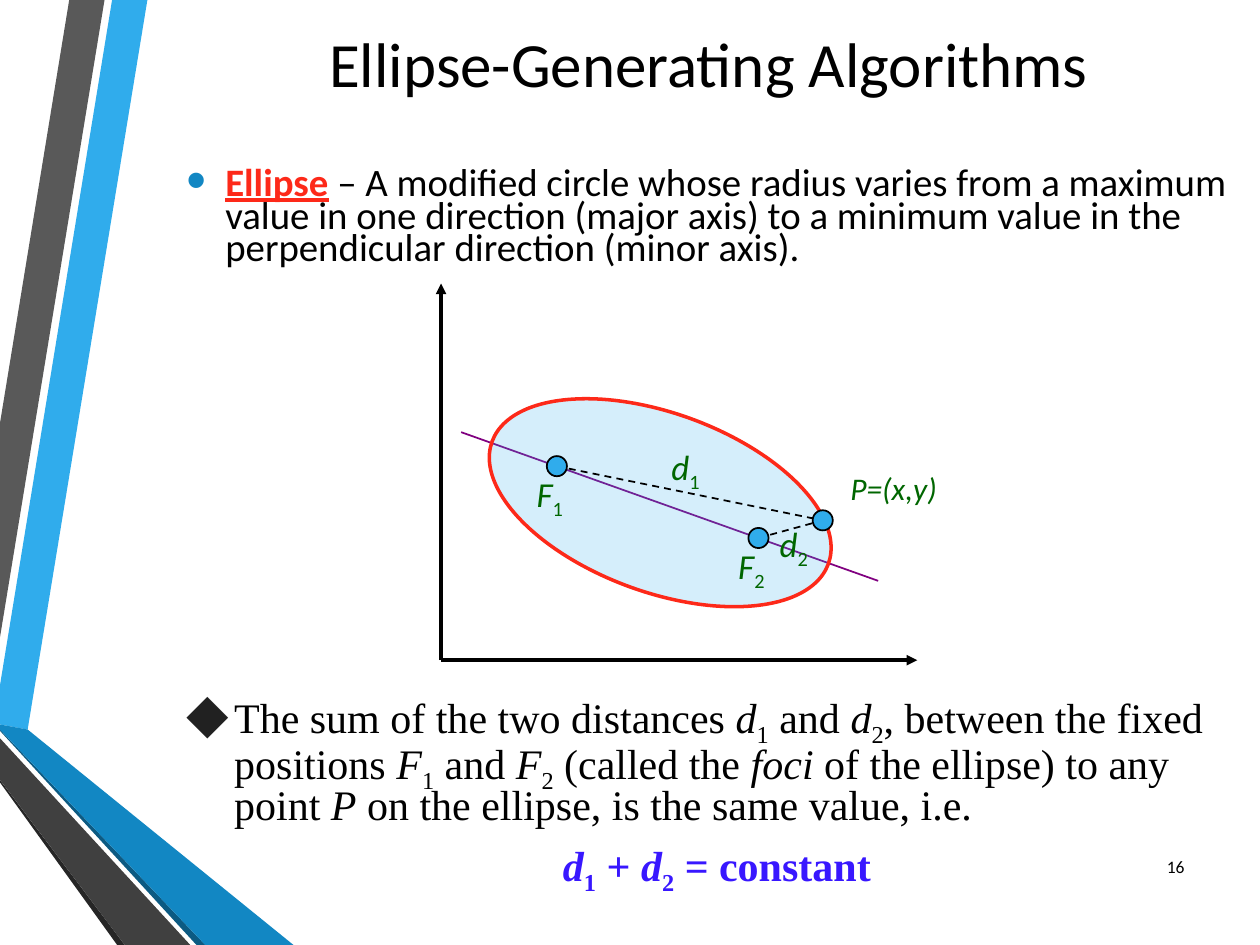
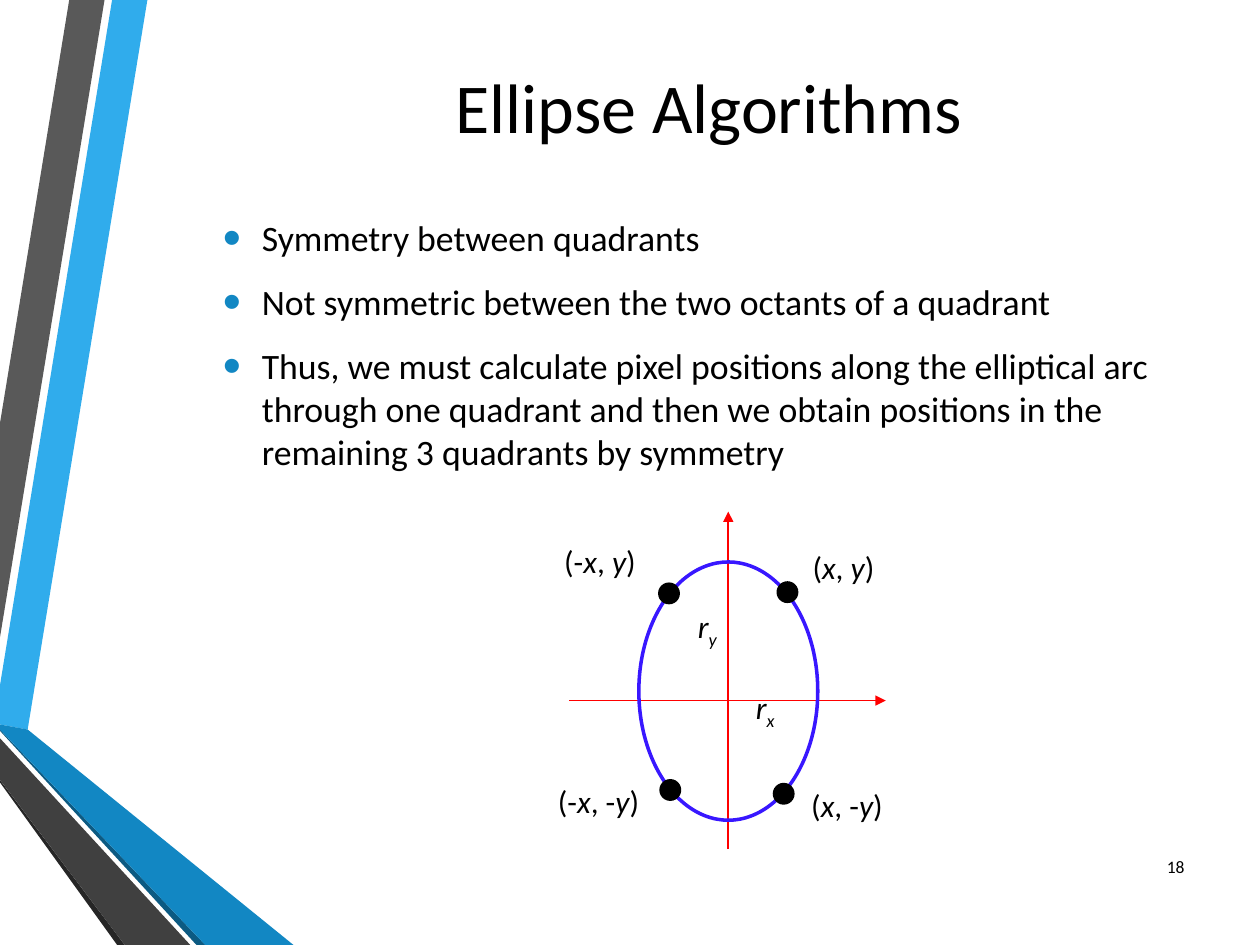
from dataclasses import dataclass

from lxml.etree import SubElement
from pptx import Presentation
from pptx.dml.color import RGBColor
from pptx.enum.dml import MSO_LINE
from pptx.enum.shapes import MSO_CONNECTOR as Connector, MSO_SHAPE as Preset
from pptx.enum.text import MSO_ANCHOR as Anchor, MSO_AUTO_SIZE as AutoSize, PP_ALIGN as Align
from pptx.oxml.ns import qn
from pptx.util import Inches, Pt

COLS, ROWS = 100, 75
UNIT = Inches(0.1)
DOT = 1.6
SANS, SERIF = "Calibri", "Times New Roman"
COLORS = {
    "black": "000000", "sky": "30ACEC", "blue": "1287C3", "navy": "0C5A82",
    "gray": "595959", "charcoal": "404040", "soot": "262626", "diamond": "212121",
    "red": "FD2919", "axis_red": "FF0000", "green": "006600", "purple": "800080",
    "indigo": "3817FF",
}
RIBBONS = [
    ("sky", [(0, 54.4), (0, 57.5), (2.2, 57.9), (11.7, 0), (8.9, 0)]),
    ("gray", [(8.3, 0), (5.5, 0), (0, 33.6), (0, 50.6)]),
    ("soot", [(0, 61.9), (0, 62.1), (9.3, ROWS), (9.9, ROWS)]),
    ("navy", [(0, 57.9), (0, 58), (15.6, ROWS), (16.3, ROWS)]),
    ("blue", [(0, 57.9), (16.3, ROWS), (23.3, ROWS), (2.2, 57.9), (0, 57.5)]),
    ("charcoal", [(0, 61.9), (9.9, ROWS), (15.1, ROWS), (0, 58.6)]),
]


@dataclass
class Box:
    """A rectangle measured in grid columns and rows."""
    left: float
    top: float
    width: float
    height: float

    def inner(self, left, top, width, height):
        """Return a box whose place is counted from this box's corner."""
        return Box(self.left + left, self.top + top, width, height)

    def point(self, x, y):
        """Return a point counted from this box's corner."""
        return self.left + x, self.top + y

    def emu(self):
        """Return left, top, width and height in slide units."""
        return [grid(v) for v in (self.left, self.top, self.width, self.height)]


def grid(value):
    """Turn grid steps into slide units."""
    return round(value * UNIT)


def rgb(name):
    """Look up a named colour."""
    return RGBColor.from_string(COLORS[name])


def style_shape(shape, fill, line=None, weight=1):
    """Set a shape's fill and outline and drop its shadow."""
    shape.shadow.inherit = False
    if fill:
        shape.fill.solid()
        shape.fill.fore_color.rgb = rgb(fill)
    else:
        shape.fill.background()
    if line:
        shape.line.color.rgb = rgb(line)
        shape.line.width = Pt(weight)
    else:
        shape.line.fill.background()


def add_ellipse(page, box, fill, line, weight=1):
    """Draw an ellipse that fills the box."""
    shape = page.shapes.add_shape(Preset.OVAL, *box.emu())
    style_shape(shape, fill, line, weight)
    return shape


def add_dot(page, box, center, fill):
    """Draw a small point marker around a centre given within the box."""
    x, y = center
    add_ellipse(page, box.inner(x - DOT / 2, y - DOT / 2, DOT, DOT), fill, "black")


def add_line(page, box, start, end, color, weight=1, arrow=False, dashed=False):
    """Draw a straight line between two points given within the box."""
    ends = [grid(v) for v in box.point(*start) + box.point(*end)]
    line = page.shapes.add_connector(Connector.STRAIGHT, *ends)
    line.line.color.rgb = rgb(color)
    line.line.width = Pt(weight)
    if dashed:
        line.line.dash_style = MSO_LINE.DASH
    properties = line._element.spPr
    if arrow:
        SubElement(properties.find(qn("a:ln")), qn("a:tailEnd"), type="triangle")
    SubElement(properties, qn("a:effectLst"))


def add_spans(para, markup):
    """Split markup at bars: / is italic, _ is lowered, ! is a key term."""
    for piece in markup.split("|"):
        text = piece.lstrip("/_!")
        marks = piece[:len(piece) - len(text)]
        span = para.add_run()
        span.text = text
        if "/" in marks:
            span.font.italic = True
        if "_" in marks:
            span.font._element.set("baseline", "-25000")
        if "!" in marks:
            span.font.bold = span.font.underline = True
            span.font.color.rgb = rgb("red")


def style_para(para, size, font=SANS, color="black", align=Align.LEFT, bold=None):
    """Set alignment and the font shared by all spans."""
    para.alignment = align
    para.font.size = Pt(size)
    para.font.name = font
    para.font.color.rgb = rgb(color)
    para.font.bold = bold


def set_indent(para, inches):
    """Give the paragraph a hanging indent."""
    properties = para._p.get_or_add_pPr()
    properties.set("marL", str(Inches(inches)))
    properties.set("indent", str(-Inches(inches)))
    return properties


def add_bullet(para, char, color, indent):
    """Give the paragraph a coloured bullet."""
    properties = set_indent(para, indent)
    tint = SubElement(properties, qn("a:buClr"))
    SubElement(tint, qn("a:srgbClr"), val=COLORS[color])
    SubElement(properties, qn("a:buSzPct"), val="145000")
    SubElement(properties, qn("a:buFont"), typeface="Arial")
    SubElement(properties, qn("a:buChar"), char=char)


def add_text(page, box, anchor=Anchor.MIDDLE, wrap=True):
    """Add an empty text box and return its frame."""
    frame = page.shapes.add_textbox(*box.emu()).text_frame
    frame.word_wrap = wrap
    frame.auto_size = AutoSize.NONE if wrap else AutoSize.SHAPE_TO_FIT_TEXT
    frame.vertical_anchor = anchor
    return frame


def add_line_of_text(page, box, text, size, align):
    """Add a text box that holds one plain paragraph."""
    para = add_text(page, box).paragraphs[0]
    add_spans(para, text)
    style_para(para, size, align=align)


def add_label(page, box, markup, size=18, color="black"):
    """Add an unwrapped diagram label."""
    para = add_text(page, box, Anchor.TOP, wrap=False).paragraphs[0]
    add_spans(para, markup)
    style_para(para, size, color=color)


def add_bullets(page, box, items, size, spacing=None):
    """Add a bulleted list."""
    frame = add_text(page, box)
    for index, markup in enumerate(items):
        para = frame.add_paragraph() if index else frame.paragraphs[0]
        if index:
            para.space_before = Pt(6)
        para.space_after = Pt(6)
        para.line_spacing = spacing
        add_bullet(para, "•", "blue", 0.31)
        add_spans(para, markup)
        style_para(para, size)


def add_ribbons(page, box):
    """Draw the folded ribbons along the left edge."""
    for color, corners in RIBBONS:
        points = [tuple(grid(v) for v in box.point(*corner)) for corner in corners]
        builder = page.shapes.build_freeform(*points[0])
        builder.add_line_segments(points[1:], close=True)
        style_shape(builder.convert_to_shape(), color)


def add_page(deck, title, title_box, title_size, number):
    """Start a slide with ribbons, title and page number."""
    page = deck.slides.add_slide(deck.slide_layouts[6])
    add_ribbons(page, Box(0, 0, COLS, ROWS))
    add_line_of_text(page, title_box, title, title_size, Align.CENTER)
    add_line_of_text(page, Box(90.3, 66.8, 4.7, 4), str(number), 10, Align.RIGHT)
    return page


def add_foci_diagram(page, box):
    """Draw the tilted ellipse with its foci and distances."""
    foci, on_curve = [(9.2, 14.5), (25.2, 20.2)], (30.3, 18.8)
    add_line(page, box, (1.6, 11.8), (34.7, 23.6), "purple")
    ellipse = add_ellipse(page, box.inner(3.2, 10.3, 28.4, 14.2), "sky", "red", 2)
    ellipse.rotation = 20
    tint = ellipse._element.spPr.find(qn("a:solidFill"))[0]
    SubElement(tint, qn("a:alpha"), val="20000")
    for tip in [(0, 0), (box.width, box.height)]:
        add_line(page, box, (0, box.height), tip, "black", 2, arrow=True)
    for focus in foci:
        add_line(page, box, focus, on_curve, "black", dashed=True)
    for center in foci + [on_curve]:
        add_dot(page, box, center, "sky")
    add_label(page, box.inner(31.5, 14.2, 9.3, 4), "/P=(x,y)", color="green")
    for index, (x, y) in enumerate(foci, 1):
        add_label(page, box.inner(x - 2.6, y, 4.2, 4.8), f"/F|_{index}", 20, "green")
    for index, (x, y) in enumerate([(17.3, 12.4), (25.9, 18.5)], 1):
        add_label(page, box.inner(x, y, 4.4, 4.7), f"/d|_{index}", 20, "green")


def add_distance_rule(page, box):
    """State the constant sum of distances and its formula."""
    frame = add_text(page, box, Anchor.TOP)
    rule, formula = frame.paragraphs[0], frame.add_paragraph()
    rule.line_spacing = formula.line_spacing = 0.8
    formula.space_before = Pt(9)
    add_bullet(rule, "⬥", "diamond", 0.38)
    set_indent(formula, 0.38)
    add_spans(rule, "The sum of the two distances |/d|_1| and |/d|_2|, between the fixed "
                    "positions |/F|_1| and |/F|_2| (called the |/foci| of the ellipse) to any "
                    "point |/P| on the ellipse, is the same value, i.e.")
    add_spans(formula, "/d|_1| + |/d|_2| = constant")
    style_para(rule, 24, SERIF)
    style_para(formula, 24, SERIF, "indigo", Align.CENTER, bold=True)


def add_symmetry_diagram(page, box):
    """Draw the upright ellipse with one point in each quadrant."""
    center_x, center_y = 12.6, 15
    add_line(page, box, (center_x, box.height), (center_x, 0), "axis_red", arrow=True)
    add_line(page, box, (0, center_y), (box.width, center_y), "axis_red", arrow=True)
    add_ellipse(page, box.inner(5.5, 4, 14.2, 20.5), None, "indigo", 2)
    for center in [(17, 22.4), (7.9, 6.5), (8, 22.1), (17.3, 6.4)]:
        add_dot(page, box, center, "black")
    labels = [
        (18.3, 2.4, 7.2, "(|/x|, |/y|)"), (-1.4, 1.9, 8, "(-|/x|, |/y|)"),
        (18.2, 21.3, 8, "(|/x|, -|/y|)"), (-1.9, 21, 8.8, "(-|/x|, -|/y|)"),
        (13.8, 13.5, 3.7, "/r|/_x"), (9.2, 7.1, 3.6, "/r|/_y"),
    ]
    for x, y, width, markup in labels:
        add_label(page, box.inner(x, y, width, 4), markup)


def build_definition_slide(deck):
    """Build the slide that defines the ellipse."""
    page = add_page(deck, "Ellipse-Generating Algorithms", Box(15, 1.3, 82.5, 7.3), 36, 16)
    add_bullets(page, Box(13.8, 11.5, 86.2, 11.8), [
        "!Ellipse| – A modified circle whose radius varies from a maximum value in one "
        "direction (major axis) to a minimum value in the perpendicular direction "
        "(minor axis)."], 22.2, 0.7)
    add_foci_diagram(page, Box(35, 22.5, 37.8, 29.9))
    add_distance_rule(page, Box(13.8, 54.8, 86.2, 16.5))


def build_symmetry_slide(deck):
    """Build the slide on symmetry between quadrants."""
    page = add_page(deck, "Ellipse Algorithms", Box(15, 2.1, 82.5, 12.5), 40, 18)
    add_bullets(page, Box(16.7, 14.7, 83.3, 25.2), [
        "Symmetry between quadrants",
        "Not symmetric between the two octants of a quadrant",
        "Thus, we must calculate pixel positions along the elliptical arc through one "
        "quadrant and then we obtain positions in the remaining 3 quadrants by symmetry",
    ], 20.4)
    add_symmetry_diagram(page, Box(45.2, 40.6, 25.1, 26.8))


def main():
    """Build and save the deck."""
    deck = Presentation()
    deck.slide_width, deck.slide_height = COLS * UNIT, ROWS * UNIT
    build_definition_slide(deck)
    build_symmetry_slide(deck)
    deck.save("out.pptx")


if __name__ == "__main__":
    main()
